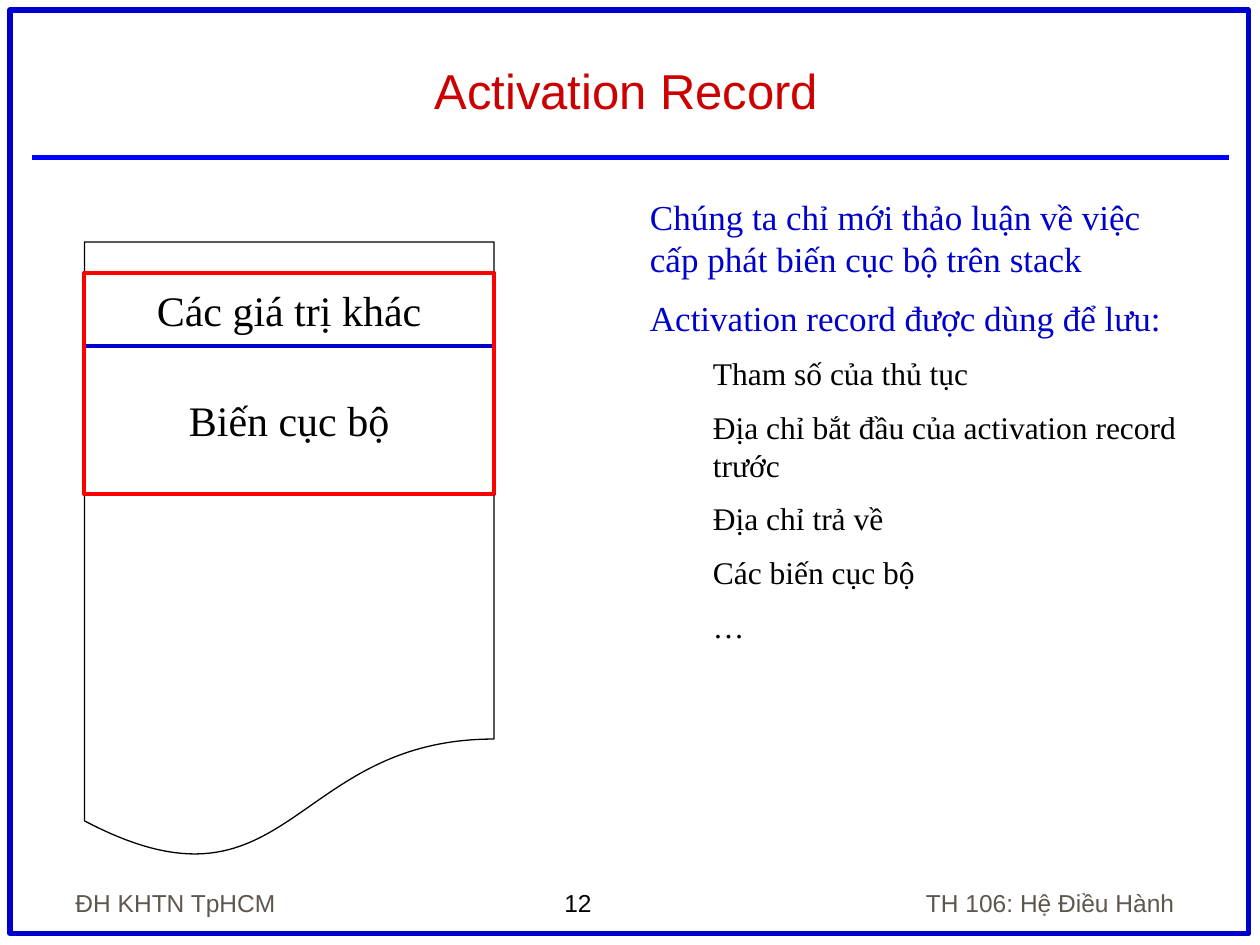
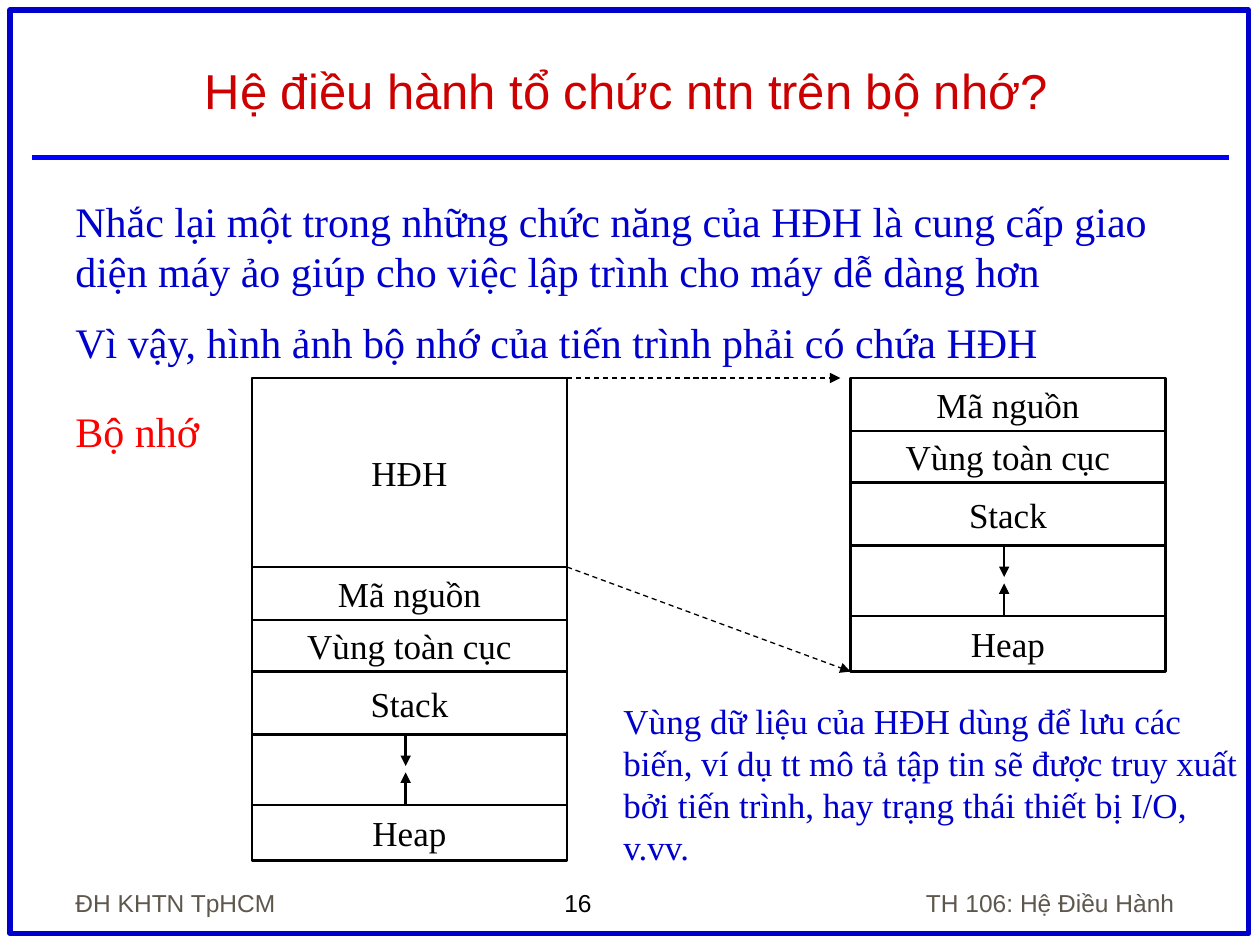
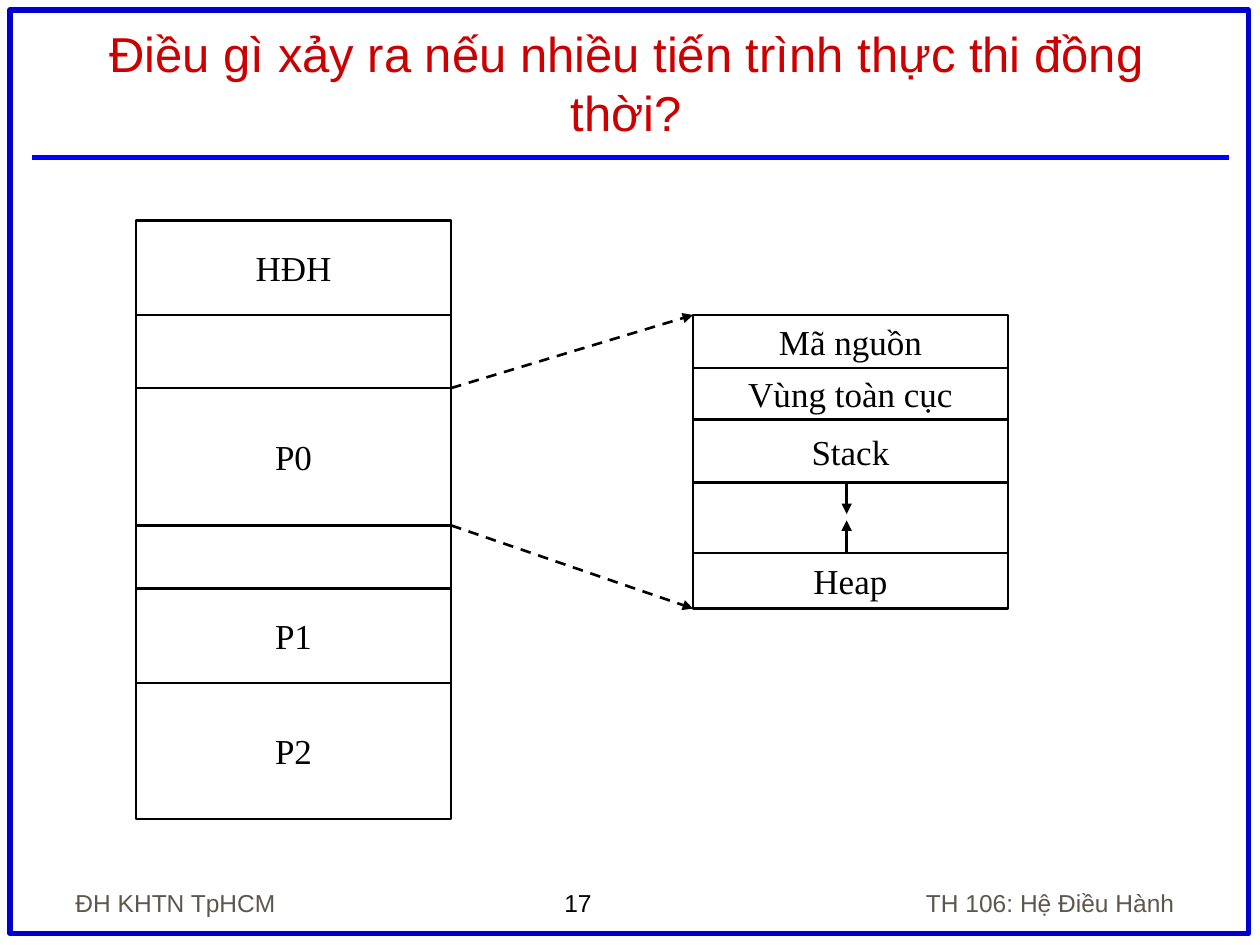
from lxml.etree import SubElement
from pptx import Presentation
from pptx.dml.color import RGBColor
from pptx.enum.dml import MSO_LINE
from pptx.enum.shapes import MSO_CONNECTOR, MSO_SHAPE
from pptx.enum.text import MSO_ANCHOR, MSO_AUTO_SIZE, PP_ALIGN
from pptx.oxml.ns import qn
from pptx.util import Inches, Pt

BLACK, RED, BLUE = "000000", "FF0000", "0000CC"
RULE_BLUE, TITLE_RED, FOOTER_GRAY = "0000FF", "CC0000", "5E574E"
SANS, SERIF = "Arial", "Times New Roman"

BLOCK_WIDTH = 2.5
PROCESS_BLOCKS = [("Mã nguồn", 0.42), ("Vùng toàn cục", 0.41), ("Stack", 0.5),
                  ("", 0.56), ("Heap", 0.44)]
PROCESS_HEIGHT = sum(height for label, height in PROCESS_BLOCKS)


def color(value):
    return RGBColor.from_string(value)


def apply_formats(target, formats):
    for name, value in formats.items():
        setattr(target, name, value)


class SlideBuilder:
    """Holds the deck style and the slide being filled."""

    def __init__(self, deck):
        self.deck = deck
        self.page = None

    def new_page(self, title, number, title_top=0.25):
        self.page = self.deck.slides.add_slide(self.deck.slide_layouts[5])
        self.shape(0.08, 0.08, 9.83, 7.33, line=BLUE, weight=3)
        self.line((0.25, 1.25), (9.75, 1.25), RULE_BLUE, 3)
        footer = {"size": 14, "font": SANS}
        gray = {**footer, "ink": FOOTER_GRAY, "anchor": MSO_ANCHOR.BOTTOM}
        self.text(4.38, 7, 1.09, 0.34, [str(number)], **footer)
        self.text(0.5, 6.83, 2.08, 0.5, ["ĐH KHTN TpHCM"], **gray)
        self.text(6.67, 6.83, 2.75, 0.5, ["TH 106: Hệ Điều Hành"],
                  align=PP_ALIGN.RIGHT, **gray)
        box = self.page.shapes.title
        self.place(box, 0.44, title_top, 9.06, 0.75)
        self.add_lines(box.text_frame, [title], 28, SANS, TITLE_RED,
                       PP_ALIGN.CENTER, MSO_ANCHOR.BOTTOM)

    def place(self, box, left, top, width, height):
        apply_formats(box, {"left": Inches(left), "top": Inches(top),
                            "width": Inches(width), "height": Inches(height)})

    def add_lines(self, frame, lines, size, font=SERIF, ink=BLACK, align=PP_ALIGN.LEFT,
                  anchor=MSO_ANCHOR.TOP, wrap=True, before=0, indent=0):
        apply_formats(frame, {"auto_size": MSO_AUTO_SIZE.NONE, "word_wrap": wrap,
                              "vertical_anchor": anchor})
        for line in lines:
            para = frame.paragraphs[0]
            if para.runs:
                para = frame.add_paragraph()
            apply_formats(para, {"alignment": align, "space_before": Pt(before)})
            if indent:
                para._p.get_or_add_pPr().set("marL", str(Inches(indent)))
            span = para.add_run()
            span.text = line
            apply_formats(span.font, {"size": Pt(size), "name": font, "bold": False})
            span.font.color.rgb = color(ink)

    def text(self, left, top, width, height, lines, size, **style):
        box = self.page.shapes.add_textbox(
            Inches(left), Inches(top), Inches(width), Inches(height))
        self.add_lines(box.text_frame, lines, size, **style)
        return box

    def shape(self, left, top, width, height, label="", size=20, line=BLACK,
              weight=1.5, kind=MSO_SHAPE.RECTANGLE):
        box = self.page.shapes.add_shape(
            kind, Inches(left), Inches(top), Inches(width), Inches(height))
        box.shadow.inherit = False
        box.fill.background()
        box.line.color.rgb = color(line)
        box.line.width = Pt(weight)
        if label:
            self.add_lines(box.text_frame, [label], size, align=PP_ALIGN.CENTER,
                           anchor=MSO_ANCHOR.MIDDLE, wrap=False)

    def line(self, start, end, ink=BLACK, weight=1.5, dashed=False):
        connector = self.page.shapes.add_connector(
            MSO_CONNECTOR.STRAIGHT, *(Inches(value) for value in start + end))
        connector.line.color.rgb = color(ink)
        connector.line.width = Pt(weight)
        if dashed:
            connector.line.dash_style = MSO_LINE.DASH
        SubElement(connector._element.spPr, qn("a:effectLst"))
        return connector

    def arrow(self, start, end, **style):
        connector = self.line(start, end, **style)
        SubElement(connector.line._get_or_add_ln(), qn("a:tailEnd"), type="triangle")

    def block_column(self, left, top, blocks):
        for label, height in blocks:
            self.shape(left, top, BLOCK_WIDTH, height, label)
            top += height

    def process_memory(self, left, top):
        """Draws the blocks of a process, with stack and heap growing together."""
        self.block_column(left, top, PROCESS_BLOCKS)
        middle = left + 1.22
        gap_top, gap_bottom = top + 1.33, top + 1.89
        self.arrow((middle, gap_top), (middle, gap_top + 0.25))
        self.arrow((middle, gap_bottom), (middle, gap_bottom - 0.26))


def activation_record(builder):
    builder.new_page("Activation Record", 12)
    left, width = 0.67, 3.25
    builder.shape(left, 2.75, width, 1.17, "Biến cục bộ", 24, BLUE, 2.25)
    box = builder.text(5.06, 1.5, 4.39, 5.13, [
        "Chúng ta chỉ mới thảo luận về việc cấp phát biến cục bộ trên stack",
        "Activation record được dùng để lưu:",
    ], 20, ink=BLUE, before=10)
    builder.add_lines(box.text_frame, [
        "Tham số của thủ tục",
        "Địa chỉ bắt đầu của activation record trước",
        "Địa chỉ trả về",
        "Các biến cục bộ",
        "…",
    ], 18, before=9, indent=0.5)
    builder.shape(left, 1.92, width, 4.92, weight=0.75,
                  kind=MSO_SHAPE.FLOWCHART_DOCUMENT)
    builder.shape(left, 2.17, width, 0.58, "Các giá trị khác", 24, BLUE, 2.25)
    builder.shape(left, 2.17, width, 1.75, line=RED, weight=2.25)


def system_in_memory(builder):
    builder.new_page("Hệ điều hành tổ chức ntn trên bộ nhớ?", 16)
    builder.text(0.5, 1.5, 8.94, 5.13, [
        "Nhắc lại một trong những chức năng của HĐH là cung cấp giao diện máy ảo "
        "giúp cho việc lập trình cho máy dễ dàng hơn",
        "Vì vậy, hình ảnh bộ nhớ của tiến trình phải có chứa HĐH",
    ], 24, ink=BLUE, before=12)
    memory_left, system_left, top, system_height = 2, 6.75, 3, 1.5
    memory_right, system_bottom = memory_left + BLOCK_WIDTH, top + system_height
    builder.block_column(memory_left, top, [("HĐH", system_height)])
    builder.process_memory(memory_left, system_bottom)
    builder.text(0.5, 3.17, 1.18, 0.5, ["Bộ nhớ"], 24, ink=RED, wrap=False)
    thin_dash = {"weight": 0.75, "dashed": True}
    builder.arrow((memory_right, top), (6.67, top), **thin_dash)
    builder.arrow((memory_right, system_bottom),
                  (system_left, top + PROCESS_HEIGHT), **thin_dash)
    builder.process_memory(system_left, top)
    builder.text(4.85, 5.5, 5.14, 1.44, [
        "Vùng dữ liệu của HĐH dùng để lưu các",
        "biến, ví dụ tt mô tả tập tin sẽ được truy xuất",
        "bởi tiến trình, hay trạng thái thiết bị I/O,",
        "v.vv.",
    ], 20, ink=BLUE, wrap=False)


def concurrent_processes(builder):
    builder.new_page("Điều gì xảy ra nếu nhiều tiến trình thực thi đồng thời?", 17,
                     title_top=0.42)
    memory_left, process_left, process_top = 1.08, 5.5, 2.5
    builder.block_column(memory_left, 1.75, [
        ("HĐH", 0.75), ("", 0.58), ("P0", 1.09), ("", 0.5), ("P1", 0.75), ("P2", 1.08)])
    builder.process_memory(process_left, process_top)
    memory_right = memory_left + BLOCK_WIDTH
    for start, end in ((3.08, process_top), (4.17, process_top + PROCESS_HEIGHT)):
        builder.arrow((memory_right, start), (process_left, end), dashed=True)


def main():
    deck = Presentation()
    apply_formats(deck, {"slide_width": Inches(10), "slide_height": Inches(7.5)})
    builder = SlideBuilder(deck)
    for build in (activation_record, system_in_memory, concurrent_processes):
        build(builder)
    deck.save("out.pptx")


if __name__ == "__main__":
    main()
